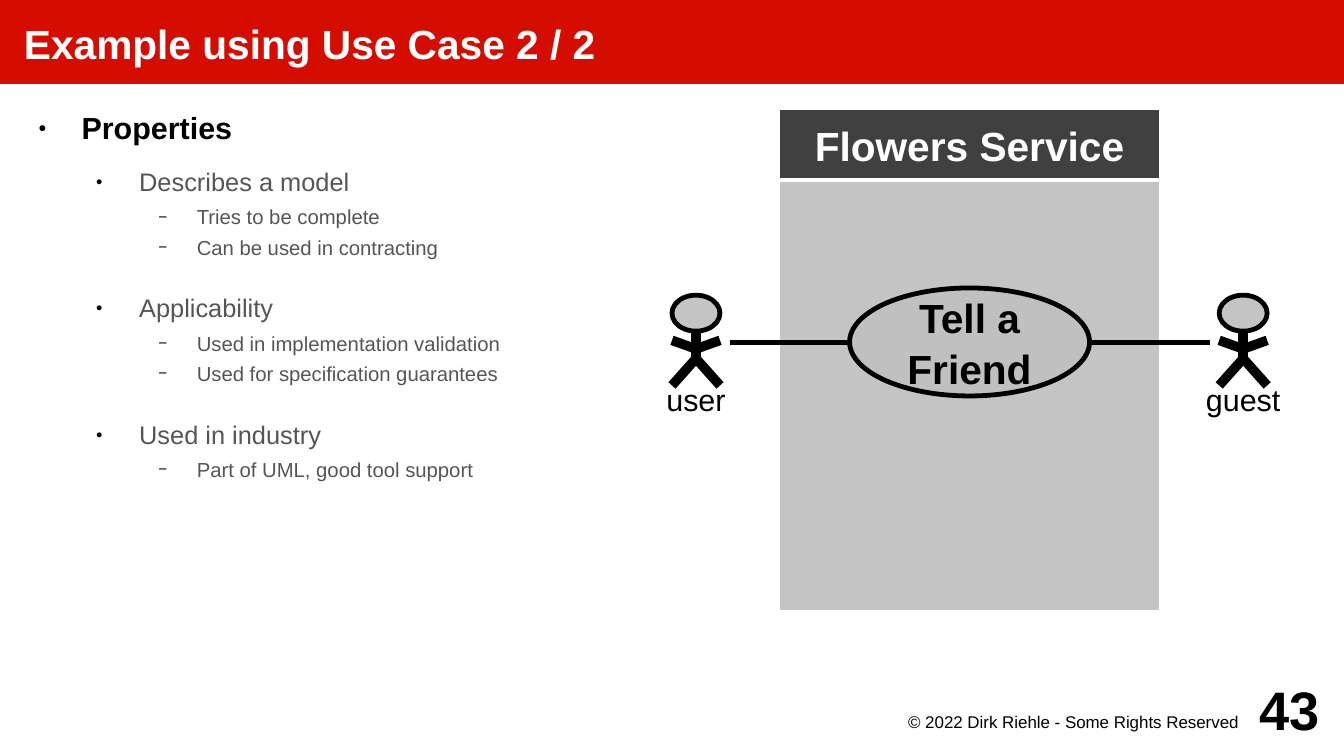
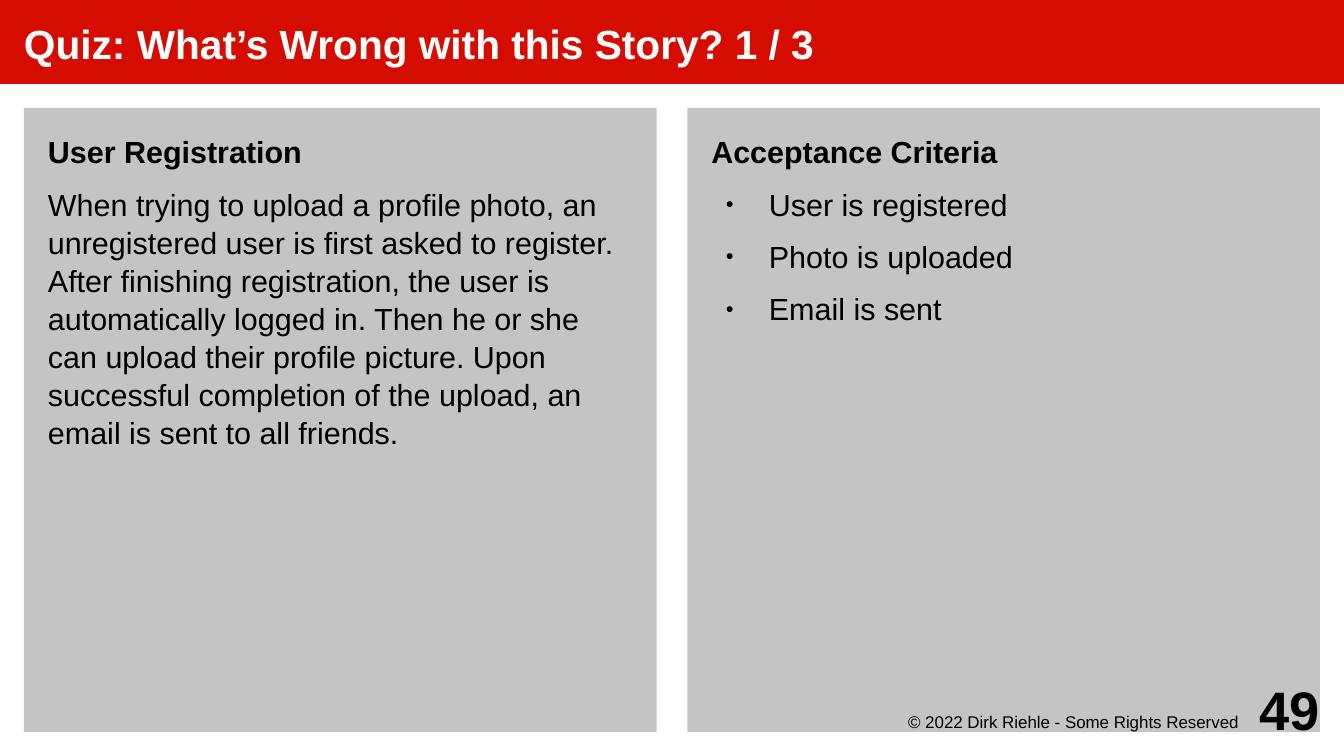
from dataclasses import dataclass

from lxml.etree import SubElement
from pptx import Presentation
from pptx.dml.color import RGBColor
from pptx.enum.shapes import MSO_CONNECTOR as Connector, MSO_SHAPE as Preset
from pptx.enum.text import MSO_ANCHOR as Anchor, MSO_AUTO_SIZE as AutoSize, PP_ALIGN as Align
from pptx.oxml.ns import qn
from pptx.util import Cm, Pt


@dataclass(frozen=True)
class Theme:
    font: str = "Arial"
    red: str = "D50D01"
    white: str = "FFFFFF"
    black: str = "000000"
    dark: str = "404040"
    panel: str = "C4C4C4"
    bubble: str = "C0C0C0"
    muted: str = "555555"
    title_size: float = 24
    text_size: float = 18
    topic_size: float = 15
    detail_size: float = 12
    footer_size: float = 10
    number_size: float = 32
    thin: float = 2.83
    thick: float = 5.67
    line_spacing: float = 1.04


THEME = Theme()
WIDTH, HEIGHT = 28, 15.75
MARGIN, CONTENT_TOP, COLUMN_WIDTH = 0.5, 2.25, 13.18
RIGHT_COLUMN = WIDTH - MARGIN - COLUMN_WIDTH

HEADING = dict(bold=True, after=8.4, bullet="●", indent=1.2, hanging=0.9)
TOPIC = dict(size=THEME.topic_size, color=THEME.muted, before=2.8, after=2.8,
             bullet="●", indent=2.4, hanging=0.9, level=1)
NEXT_TOPIC = TOPIC | dict(before=17.6)
DETAIL = dict(size=THEME.detail_size, color=THEME.muted, before=1.4, after=1.4,
              bullet="−", bullet_percent=75, indent=3.6, hanging=0.8, level=2)
CARD_HEADING = dict(bold=True, after=4.2)
CARD_TEXT = dict(before=4.2, after=4.2)
CARD_ITEM = CARD_TEXT | dict(bullet="●", indent=1.2, hanging=0.9)
CENTERED_TITLE = dict(size=THEME.title_size, bold=True, align=Align.CENTER)


def write_text(paragraph, text, *, size=THEME.text_size, color=THEME.black, bold=False,
               align=Align.LEFT, before=0, after=0, level=0, indent=0, hanging=0,
               bullet=None, bullet_percent=45):
    paragraph.level = level
    properties = paragraph._p.get_or_add_pPr()
    properties.set("marL", str(Cm(indent)))
    properties.set("indent", str(-Cm(hanging)))
    if bullet:
        bullet_color = SubElement(properties, qn("a:buClr"))
        SubElement(bullet_color, qn("a:srgbClr"), val=THEME.black)
        SubElement(properties, qn("a:buSzPct"), val=str(bullet_percent * 1000))
        SubElement(properties, qn("a:buFont"), typeface=THEME.font)
        SubElement(properties, qn("a:buChar"), char=bullet)
    paragraph.alignment = align
    paragraph.line_spacing = THEME.line_spacing
    paragraph.space_before, paragraph.space_after = Pt(before), Pt(after)
    run = paragraph.add_run()
    run.text = text
    run.font.name = THEME.font
    run.font.size = Pt(size)
    run.font.bold = bold
    run.font.color.rgb = RGBColor.from_string(color)


class Deck:
    def __init__(self, theme):
        self.theme = theme
        self.presentation = Presentation()
        self.presentation.slide_width = Cm(WIDTH)
        self.presentation.slide_height = Cm(HEIGHT)
        self.slide = None

    def start_slide(self, title):
        self.slide = self.presentation.slides.add_slide(self.presentation.slide_layouts[5])
        shape = self.slide.shapes.title
        shape.left, shape.top, shape.width, shape.height = Cm(0), Cm(0), Cm(WIDTH), Cm(1.75)
        self.paint(shape, self.theme.red)
        style = dict(size=self.theme.title_size, color=self.theme.white, bold=True)
        self.fill_frame(shape, [(title, style)], insets=(0.5, 0, 0, 0), anchor=Anchor.MIDDLE)

    def paint(self, shape, fill, line=None):
        shape.fill.solid()
        shape.fill.fore_color.rgb = RGBColor.from_string(fill)
        if line:
            shape.line.color.rgb = RGBColor.from_string(line)
            shape.line.width = Pt(self.theme.thin)
        else:
            shape.line.fill.background()

    def fill_frame(self, shape, paragraphs, insets=(0, 0, 0, 0), anchor=Anchor.TOP, wrap=True):
        frame = shape.text_frame
        frame.auto_size = AutoSize.NONE
        frame.word_wrap = wrap
        frame.vertical_anchor = anchor
        (frame.margin_left, frame.margin_top,
         frame.margin_right, frame.margin_bottom) = map(Cm, insets)
        for index, (text, style) in enumerate(paragraphs):
            paragraph = frame.add_paragraph() if index else frame.paragraphs[0]
            write_text(paragraph, text, **style)

    def text_box(self, box, paragraphs, parent=None, **frame_format):
        shape = (parent or self.slide).shapes.add_textbox(*map(Cm, box))
        self.fill_frame(shape, paragraphs, **frame_format)

    def shape(self, preset, box, fill, line=None, paragraphs=(), parent=None, **frame_format):
        shape = (parent or self.slide).shapes.add_shape(preset, *map(Cm, box))
        shape.shadow.inherit = False
        self.paint(shape, fill, line)
        if paragraphs:
            self.fill_frame(shape, paragraphs, **frame_format)

    def line(self, start, end, width, parent=None):
        connector = (parent or self.slide).shapes.add_connector(
            Connector.STRAIGHT, *map(Cm, start + end))
        connector.line.color.rgb = RGBColor.from_string(self.theme.black)
        connector.line.width = Pt(width)
        SubElement(connector._element.spPr, qn("a:effectLst"))

    def actor(self, center, name):
        group = self.slide.shapes.add_group_shape()
        neck, shoulder, hand, hip, foot = 6.53, 7.27, 7.09, 7.47, 8.03
        self.line((center, hip), (center, neck), self.theme.thick, group)
        for side in (center - 0.5, center + 0.5):
            self.line((center, shoulder), (side, hand), self.theme.thick, group)
            self.line((center, hip), (side, foot), self.theme.thick, group)
        self.shape(Preset.OVAL, (center - 0.5, 6.15, 1, 0.75), self.theme.panel,
                   self.theme.black, parent=group)
        self.text_box((center - 1, foot, 2, 0.53), [(name, dict(align=Align.CENTER))],
                      parent=group, anchor=Anchor.MIDDLE)

    def card(self, left, paragraphs):
        self.shape(Preset.RECTANGLE, (left, CONTENT_TOP, COLUMN_WIDTH, 13), self.theme.panel,
                   paragraphs=paragraphs, insets=(0.5, 0.5, 0.5, 0))

    def footer(self, number):
        notice = "© 2022 Dirk Riehle - Some Rights Reserved"
        self.text_box((18, 14.75, 8, 0.75),
                      [(notice, dict(size=self.theme.footer_size, align=Align.RIGHT))],
                      insets=(0, 0.05, 0.2, 0))
        style = dict(size=self.theme.number_size, bold=True, align=Align.RIGHT)
        self.text_box((25.5, 14, 2, 1.5), [(number, style)], anchor=Anchor.MIDDLE)


def build_use_case(deck):
    theme = deck.theme
    deck.start_slide("Example using Use Case 2 / 2")

    system_left, system_width, axis = 16.2, 8, 7.13
    center = system_left + system_width / 2
    label_format = dict(insets=(0.2, 0.2, 0.2, 0.2), anchor=Anchor.MIDDLE, wrap=False)
    deck.shape(Preset.RECTANGLE, (system_left, 3.75, system_width, 9), theme.panel, theme.white)
    deck.shape(Preset.RECTANGLE, (system_left, CONTENT_TOP, system_width, 1.5),
               theme.dark, theme.white,
               [("Flowers Service", CENTERED_TITLE | dict(color=theme.white))], **label_format)
    deck.line((center - 5, axis), (center + 5, axis), theme.thin)
    deck.shape(Preset.OVAL, (center - 2.5, 6, 5, 2.25), theme.bubble, theme.black,
               [("Tell a", CENTERED_TITLE), ("Friend", CENTERED_TITLE)], **label_format)
    deck.actor(center - 5.7, "user")
    deck.actor(center + 5.7, "guest")

    deck.text_box((MARGIN, CONTENT_TOP, COLUMN_WIDTH, 11.5), [
        ("Properties", HEADING),
        ("Describes a model", TOPIC),
        ("Tries to be complete", DETAIL),
        ("Can be used in contracting", DETAIL),
        ("Applicability", NEXT_TOPIC),
        ("Used in implementation validation", DETAIL),
        ("Used for specification guarantees", DETAIL),
        ("Used in industry", NEXT_TOPIC),
        ("Part of UML, good tool support", DETAIL),
    ])
    deck.footer("43")


def build_quiz(deck):
    deck.start_slide("Quiz: What’s Wrong with this Story? 1 / 3")
    deck.card(MARGIN, [
        ("User Registration", CARD_HEADING),
        ("When trying to upload a profile photo, an unregistered user is first asked to "
         "register. After finishing registration, the user is automatically logged in. "
         "Then he or she can upload their profile picture. Upon successful completion of "
         "the upload, an email is sent to all friends.", CARD_TEXT),
    ])
    deck.card(RIGHT_COLUMN, [
        ("Acceptance Criteria", CARD_HEADING),
        ("User is registered", CARD_ITEM),
        ("Photo is uploaded", CARD_ITEM),
        ("Email is sent", CARD_ITEM),
    ])
    deck.footer("49")


def main():
    deck = Deck(THEME)
    build_use_case(deck)
    build_quiz(deck)
    deck.presentation.save("out.pptx")


if __name__ == "__main__":
    main()
